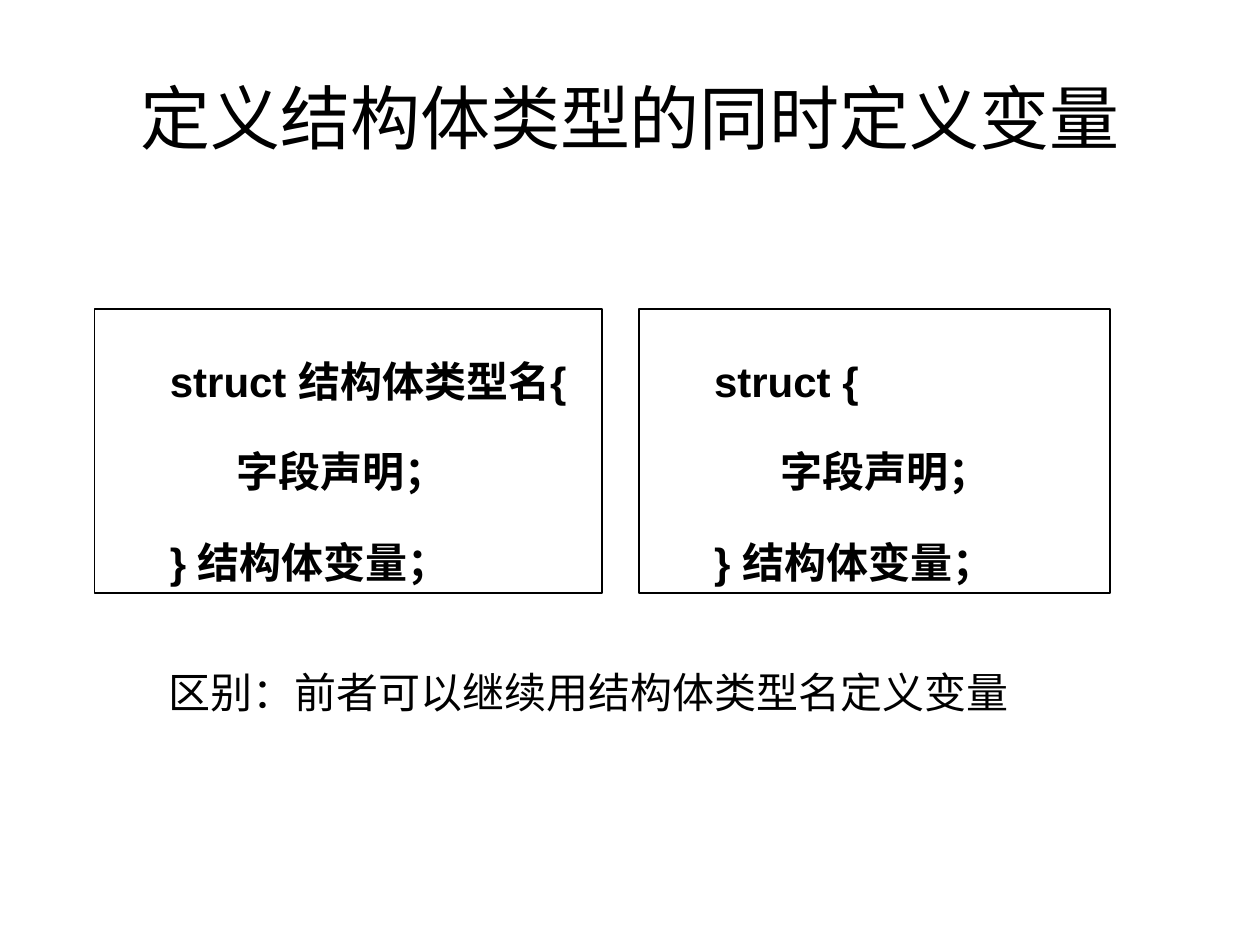
from dataclasses import dataclass

from pptx import Presentation
from pptx.dml.color import RGBColor
from pptx.enum.shapes import MSO_SHAPE
from pptx.enum.text import MSO_ANCHOR, MSO_AUTO_SIZE, PP_ALIGN
from pptx.util import Pt

RECT = MSO_SHAPE.RECTANGLE
TOP, MIDDLE = MSO_ANCHOR.TOP, MSO_ANCHOR.MIDDLE
FIT = MSO_AUTO_SIZE.SHAPE_TO_FIT_TEXT
NO_FIT = MSO_AUTO_SIZE.NONE
LEFT, CENTER = PP_ALIGN.LEFT, PP_ALIGN.CENTER
BLACK = RGBColor(0, 0, 0)

BOX_TOP, BOX_HEIGHT = 176.4, 162.7
CODE_INDENT = 36


@dataclass
class CodeBox:
    left: float
    width: float
    opening: str


CODE_BOXES = [
    CodeBox(54, 290.2, "struct 结构体类型名{"),
    CodeBox(365, 269.3, "struct {"),
]


def write(tf, text: str, *, size: float = 24, font: str = "Arial",
          bold: bool = False, align=LEFT, anchor=TOP, fit=FIT,
          level: int = 0, indent: float = 0, spacing: float = 1) -> None:
    """Fill a text frame, one paragraph for each line of text."""
    tf.word_wrap = True
    tf.auto_size = fit
    tf.vertical_anchor = anchor
    for i, line in enumerate(text.split("\n")):
        p = tf.add_paragraph() if i else tf.paragraphs[0]
        p.alignment, p.level, p.line_spacing = align, level, spacing
        pPr = p._p.get_or_add_pPr()
        pPr.set("marL", str(Pt(indent)))
        pPr.set("indent", "0")
        r = p.add_run()
        r.text = line
        r.font.size, r.font.name, r.font.bold = Pt(size), font, bold
        r.font.color.rgb = BLACK


def draw_code_box(s, box: CodeBox) -> None:
    sp = s.shapes.add_shape(RECT, Pt(box.left), Pt(BOX_TOP),
                            Pt(box.width), Pt(BOX_HEIGHT))
    sp.shadow.inherit = False
    sp.fill.background()
    sp.line.color.rgb = BLACK
    sp.line.width = Pt(1)
    code = f"{box.opening}\n       字段声明；\n}} 结构体变量；"
    write(sp.text_frame, code, bold=True, level=1,
          indent=CODE_INDENT, spacing=1.8)


def main() -> None:
    prs = Presentation()
    prs.slide_width, prs.slide_height = Pt(720), Pt(540)
    s = prs.slides.add_slide(prs.slide_layouts[5])

    # Title
    title = s.shapes.title
    title.left, title.top = Pt(36), Pt(21.6)
    title.width, title.height = Pt(648), Pt(90)
    write(title.text_frame, "定义结构体类型的同时定义变量", size=40,
          font="Calibri", align=CENTER, anchor=MIDDLE, fit=NO_FIT)

    # Named and unnamed struct definitions
    for box in CODE_BOXES:
        draw_code_box(s, box)

    # Difference between the two
    note = s.shapes.add_textbox(Pt(89.3), Pt(377.3), Pt(507), Pt(36))
    write(note.text_frame, "区别：前者可以继续用结构体类型名定义变量")

    prs.save("out.pptx")


if __name__ == "__main__":
    main()
